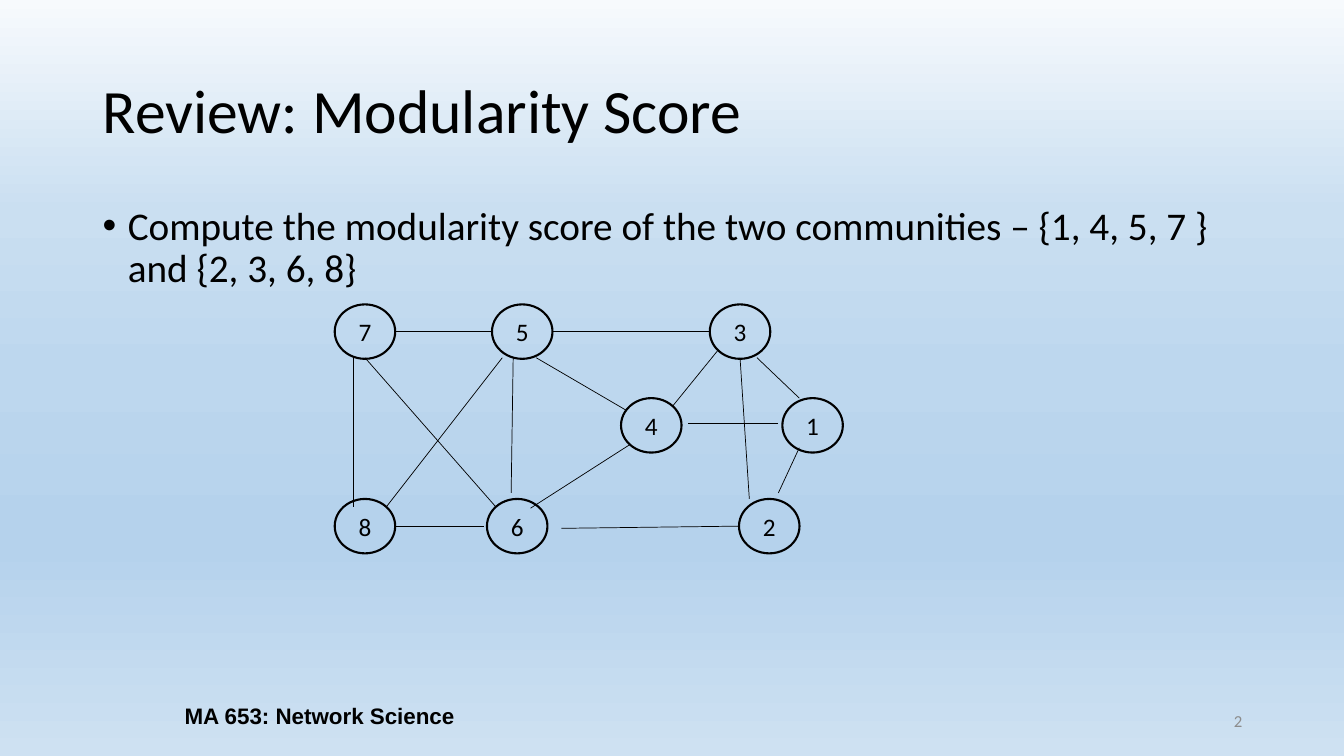
import lxml.etree
import pptx
import pptx.dml.color
import pptx.enum.shapes
import pptx.enum.text
import pptx.oxml.ns
import pptx.util

RGB = pptx.dml.color.RGBColor
ALIGN = pptx.enum.text.PP_ALIGN
ANCHOR = pptx.enum.text.MSO_ANCHOR
BLACK = RGB(0x00, 0x00, 0x00)
GREY = RGB(0x8C, 0x8C, 0x8C)
SKY = [
    (0, RGB(0xF7, 0xFA, 0xFD)),
    (28, RGB(0xCA, 0xDF, 0xF1)),
    (49, RGB(0xBD, 0xD7, 0xEE)),
    (71, RGB(0xB5, 0xD2, 0xEC)),
    (72, RGB(0xB5, 0xD2, 0xEC)),
    (100, RGB(0xCE, 0xE1, 0xF2)),
]
UNIT = pptx.util.Inches(1)
NODE_W, NODE_H = 0.6, 0.54

TOP, MIDDLE, BOTTOM = 0.27, 1.2, 2.2
NODES = {
    "7": (0.3, TOP), "5": (1.86, TOP), "3": (4.02, TOP),
    "4": (3.14, MIDDLE), "1": (4.74, MIDDLE),
    "8": (0.3, BOTTOM), "6": (1.81, BOTTOM), "2": (4.31, BOTTOM),
}
EDGES = [
    ("1", (-0.22, -0.5), "3", (0.28, 0.48)),
    ("1", (-0.22, 0.41), "2", (0.15, -0.61)),
    ("1", (-0.57, -0.04), "4", (0.6, -0.04)),
    ("3", (0, 0.48), "2", (-0.33, -0.5)),
    ("5", (0.5, 0), "3", (-0.5, 0)),
    ("3", (-0.37, 0.35), "4", (0.35, -0.35)),
    ("5", (0.23, 0.48), "4", (-0.42, -0.28)),
    ("5", (-0.15, 0.48), "6", (-0.1, -0.61)),
    ("4", (-0.35, 0.35), "6", (0.22, -0.33)),
    ("7", (0.5, 0), "5", (-0.5, 0)),
    ("5", (-0.33, 0.48), "8", (0.35, -0.35)),
    ("6", (-0.55, 0), "8", (0.5, 0)),
    ("7", (0, 0.48), "6", (-0.35, -0.35)),
    ("7", (-0.2, 0.48), "8", (-0.2, -0.35)),
    ("2", (-0.5, 0), "6", (0.73, 0.04)),
]


def units(*lengths):
    """Turn grid units into whole EMU lengths."""
    return [round(length * UNIT) for length in lengths]


def write(sp, text, size, font="Calibri", color=BLACK, bold=False,
          align=ALIGN.LEFT, anchor=ANCHOR.MIDDLE):
    """Write one formatted paragraph into a shape and return it."""
    tf = sp.text_frame
    tf.word_wrap = True
    tf.vertical_anchor = anchor
    p = tf.paragraphs[0]
    p.text = text
    p.alignment = align
    r = p.runs[0]
    r.font.size = pptx.util.Pt(size)
    r.font.name = font
    r.font.bold = bold
    r.font.color.rgb = color
    return p


def add_background(slide):
    """Fill the slide with the sky gradient from top to bottom."""
    fill = slide.background.fill
    fill.gradient()
    fill.gradient_angle = 270
    qn = pptx.oxml.ns.qn
    stops = slide.background._cSld.find(".//" + qn("a:gsLst"))
    for stop in list(stops):
        stops.remove(stop)
    for percent, color in SKY:
        stop = lxml.etree.SubElement(stops, qn("a:gs"), pos=str(percent * 1000))
        lxml.etree.SubElement(stop, qn("a:srgbClr"), val=str(color))


def add_title(slide, box):
    """Add the slide title."""
    sp = slide.shapes.add_textbox(*units(*box))
    write(sp, "Review: Modularity Score", 44).line_spacing = 0.9


def add_body(slide, box):
    """Add the bulleted task."""
    sp = slide.shapes.add_textbox(*units(*box))
    p = write(sp, "Compute the modularity score of the two communities – "
              "{1, 4, 5, 7 } and {2, 3, 6, 8}", 28, anchor=ANCHOR.TOP)
    p.line_spacing = 0.9
    p.space_before = pptx.util.Pt(10)
    pPr = p._p.get_or_add_pPr()
    indent = round(0.25 * UNIT)
    pPr.set("marL", str(indent))
    pPr.set("indent", str(-indent))
    qn = pptx.oxml.ns.qn
    lxml.etree.SubElement(pPr, qn("a:buFont"), typeface="Arial")
    lxml.etree.SubElement(pPr, qn("a:buChar"), char="•")


def add_graph(slide, left, top):
    """Draw the network with its top left corner at the given point."""
    for label, (x, y) in NODES.items():
        sp = slide.shapes.add_shape(
            pptx.enum.shapes.MSO_SHAPE.OVAL,
            *units(left + x - NODE_W / 2, top + y - NODE_H / 2, NODE_W, NODE_H))
        sp.shadow.inherit = False
        sp.fill.background()
        sp.line.color.rgb = BLACK
        sp.line.width = pptx.util.Pt(1.5)
        write(sp, label, 18, align=ALIGN.CENTER)

    def end(label, offset):
        """Locate an edge end, offset from a node's centre in node sizes."""
        x, y = NODES[label]
        return units(left + x + offset[0] * NODE_W, top + y + offset[1] * NODE_H)

    for source, leave, target, arrive in EDGES:
        edge = slide.shapes.add_connector(
            pptx.enum.shapes.MSO_CONNECTOR.STRAIGHT,
            *end(source, leave), *end(target, arrive))
        edge.line.color.rgb = BLACK
        edge.line.width = pptx.util.Pt(0.5)
        lxml.etree.SubElement(edge._element.spPr, pptx.oxml.ns.qn("a:effectLst"))


def add_footer(slide, course_box, number_box):
    """Add the course name and the slide number."""
    sp = slide.shapes.add_textbox(*units(*course_box))
    write(sp, "MA 653: Network Science", 16, "Arial", bold=True, align=ALIGN.CENTER)
    sp = slide.shapes.add_textbox(*units(*number_box))
    write(sp, "2", 12, color=GREY, align=ALIGN.RIGHT)


def main():
    """Build and save the slide."""
    prs = pptx.Presentation()
    prs.slide_width, prs.slide_height = units(13.33, 7.5)
    slide = prs.slides.add_slide(prs.slide_layouts[6])
    add_background(slide)
    add_title(slide, (0.92, 0.4, 11.5, 1.45))
    add_body(slide, (0.92, 2, 11.5, 4.76))
    add_footer(slide, (0.92, 6.9, 4.5, 0.4), (9.42, 6.95, 3, 0.4))
    add_graph(slide, 3.32, 3.02)
    prs.save("out.pptx")


if __name__ == "__main__":
    main()
